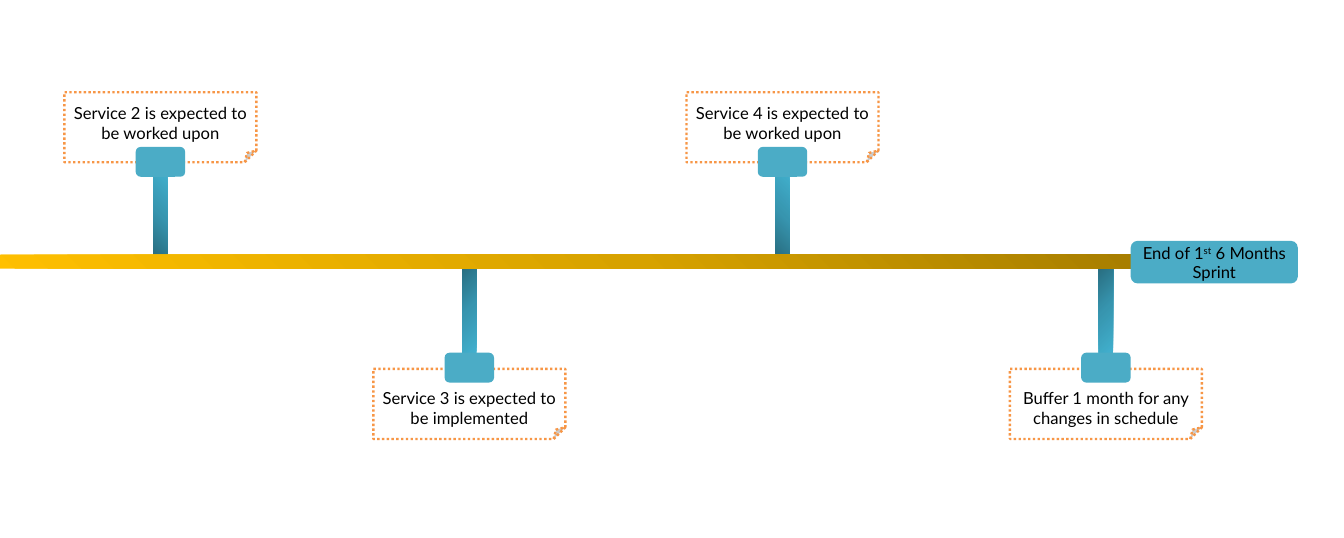
from dataclasses import dataclass

from pptx import Presentation
from pptx.dml.color import RGBColor
from pptx.enum.dml import MSO_LINE
from pptx.enum.shapes import MSO_SHAPE
from pptx.enum.text import MSO_AUTO_SIZE, PP_ALIGN
from pptx.oxml import parse_xml
from pptx.oxml.ns import nsdecls, qn
from pptx.shapes.autoshape import Shape
from pptx.slide import Slide
from pptx.util import Inches, Pt


@dataclass(frozen=True)
class Theme:
    font: str = "Lato"
    text_size: int = 14
    text: str = "000000"
    note_fill: str = "FFFFFF"
    note_line: str = "F79646"
    line_width: int = 2
    tab: str = "4BACC6"
    stem_stops: tuple[str, ...] = ("27697B", "3795AF", "42B1CF")
    axis_stops: tuple[str, ...] = ("977200", "D7A200", "FFC000")


@dataclass(frozen=True)
class Side:
    """Vertical places of the parts on one side of the axis."""
    stem_top: float
    note_top: float
    tab_top: float
    text_top: float
    focus: str


@dataclass(frozen=True)
class Milestone:
    centre: float
    side: Side
    text: str


@dataclass(frozen=True)
class Span:
    text: str
    baseline: int = 0


THEME = Theme()
NOTE_WIDTH, NOTE_HEIGHT = 2.25, 0.82
STEM_WIDTH, STEM_HEIGHT = 0.17, 1.08
TAB_WIDTH, TAB_HEIGHT = 0.58, 0.35
TEXT_HEIGHT = 0.57

# Gradient corners, as left, top, right and bottom insets in percent
BOTTOM_LEFT, TOP_LEFT, TOP_RIGHT = "0 100 100 0", "0 0 100 100", "100 0 0 100"

ABOVE = Side(1.98, 1.08, 1.72, 1.16, BOTTOM_LEFT)
BELOW = Side(3.07, 4.32, 4.13, 4.49, TOP_LEFT)

MILESTONES = [
    Milestone(1.88, ABOVE, "Service 2 is expected to be worked upon"),
    Milestone(5.5, BELOW, "Service 3 is expected to be implemented"),
    Milestone(9.17, ABOVE, "Service 4 is expected to be worked upon"),
    Milestone(12.96, BELOW, "Buffer 1 month for any changes in schedule"),
]
END_LABEL = [Span("End of 1"), Span("st", 30000), Span(" 6 Months Sprint")]


def add_box(page: Slide, kind: MSO_SHAPE, left: float, top: float,
            width: float, height: float, color: str) -> Shape:
    box = page.shapes.add_shape(kind, Inches(left), Inches(top),
                                Inches(width), Inches(height))
    box.shadow.inherit = False
    box.fill.solid()
    box.fill.fore_color.rgb = RGBColor.from_string(color)
    box.line.fill.background()
    return box


def set_corner_gradient(box: Shape, stops: tuple[str, ...], focus: str) -> None:
    """Replace the solid fill by a gradient that spreads from one corner."""
    step = 100000 // (len(stops) - 1)
    stop_xml = "".join(f'<a:gs pos="{index * step}"><a:srgbClr val="{color}"/></a:gs>'
                       for index, color in enumerate(stops))
    insets = " ".join(f'{edge}="{int(value) * 1000}"'
                      for edge, value in zip("ltrb", focus.split()))
    gradient = parse_xml(
        f'<a:gradFill {nsdecls("a")} rotWithShape="1"><a:gsLst>{stop_xml}</a:gsLst>'
        f'<a:path path="circle"><a:fillToRect {insets}/></a:path></a:gradFill>')
    properties = box.element.spPr
    properties.replace(properties.find(qn("a:solidFill")), gradient)


def add_label(page: Slide, centre: float, top: float, spans: list[Span]) -> None:
    label = page.shapes.add_textbox(Inches(centre - NOTE_WIDTH / 2), Inches(top),
                                    Inches(NOTE_WIDTH), Inches(TEXT_HEIGHT))
    frame = label.text_frame
    frame.word_wrap = True
    frame.auto_size = MSO_AUTO_SIZE.SHAPE_TO_FIT_TEXT
    para = frame.paragraphs[0]
    para.alignment = PP_ALIGN.CENTER
    for span in spans:
        run = para.add_run()
        run.text = span.text
        run.font.name = THEME.font
        run.font.size = Pt(THEME.text_size)
        run.font.color.rgb = RGBColor.from_string(THEME.text)
        if span.baseline:
            run.font._element.set("baseline", str(span.baseline))


def add_milestone(page: Slide, milestone: Milestone) -> None:
    centre, side = milestone.centre, milestone.side
    stem = add_box(page, MSO_SHAPE.FLOWCHART_PROCESS, centre - STEM_WIDTH / 2,
                   side.stem_top, STEM_WIDTH, STEM_HEIGHT, THEME.tab)
    set_corner_gradient(stem, THEME.stem_stops, side.focus)
    note = add_box(page, MSO_SHAPE.FOLDED_CORNER, centre - NOTE_WIDTH / 2,
                   side.note_top, NOTE_WIDTH, NOTE_HEIGHT, THEME.note_fill)
    note.line.color.rgb = RGBColor.from_string(THEME.note_line)
    note.line.width = Pt(THEME.line_width)
    note.line.dash_style = MSO_LINE.ROUND_DOT
    add_box(page, MSO_SHAPE.ROUNDED_RECTANGLE, centre - TAB_WIDTH / 2,
            side.tab_top, TAB_WIDTH, TAB_HEIGHT, THEME.tab)
    add_label(page, centre, side.text_top, [Span(milestone.text)])


def main() -> None:
    deck = Presentation()
    deck.slide_width, deck.slide_height = Inches(15.75), Inches(6.3)
    page = deck.slides.add_slide(deck.slide_layouts[6])

    # Milestones
    for milestone in MILESTONES:
        add_milestone(page, milestone)

    # Time axis
    axis = add_box(page, MSO_SHAPE.RIGHT_ARROW, -0.13, 2.9, 15.21, 0.33,
                   THEME.axis_stops[0])
    set_corner_gradient(axis, THEME.axis_stops, TOP_RIGHT)

    # End of the sprint
    add_box(page, MSO_SHAPE.ROUNDED_RECTANGLE, 13.25, 2.82, 1.96, 0.5, THEME.tab)
    add_label(page, 14.23, 2.79, END_LABEL)

    deck.save("out.pptx")


if __name__ == "__main__":
    main()
